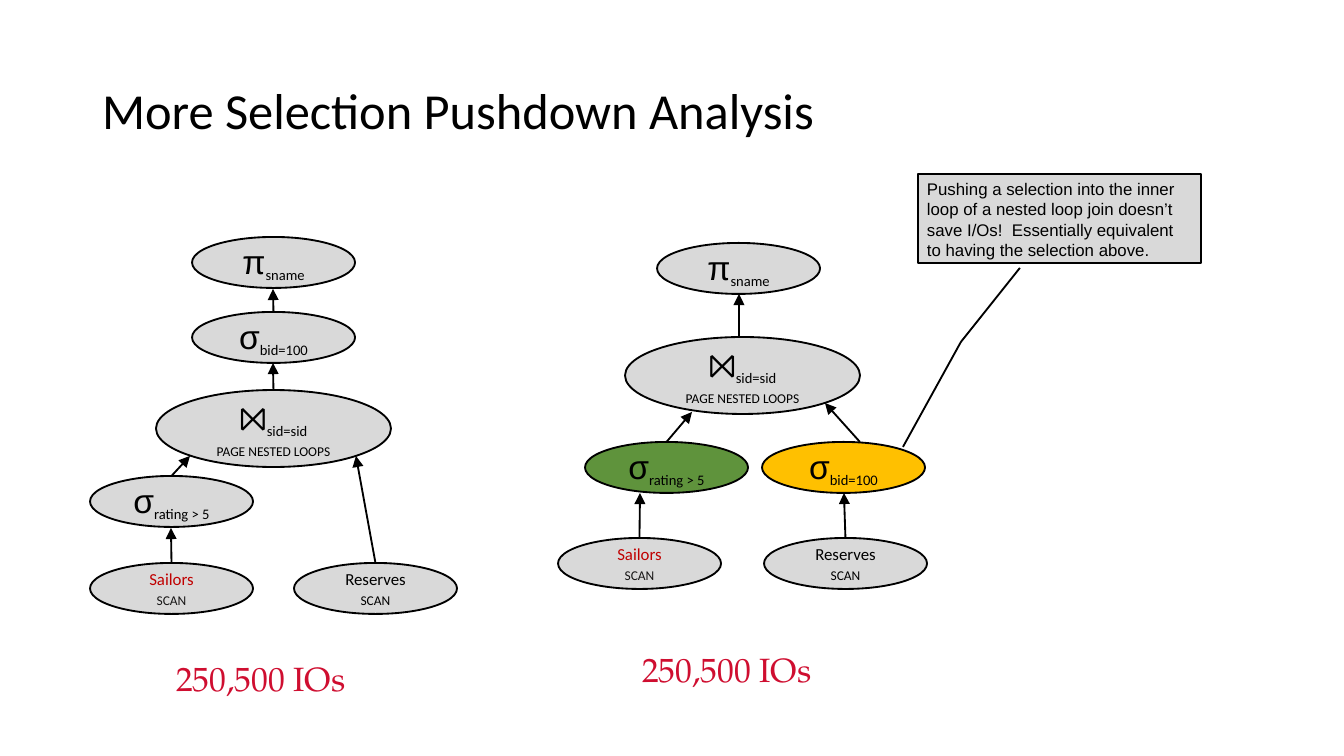
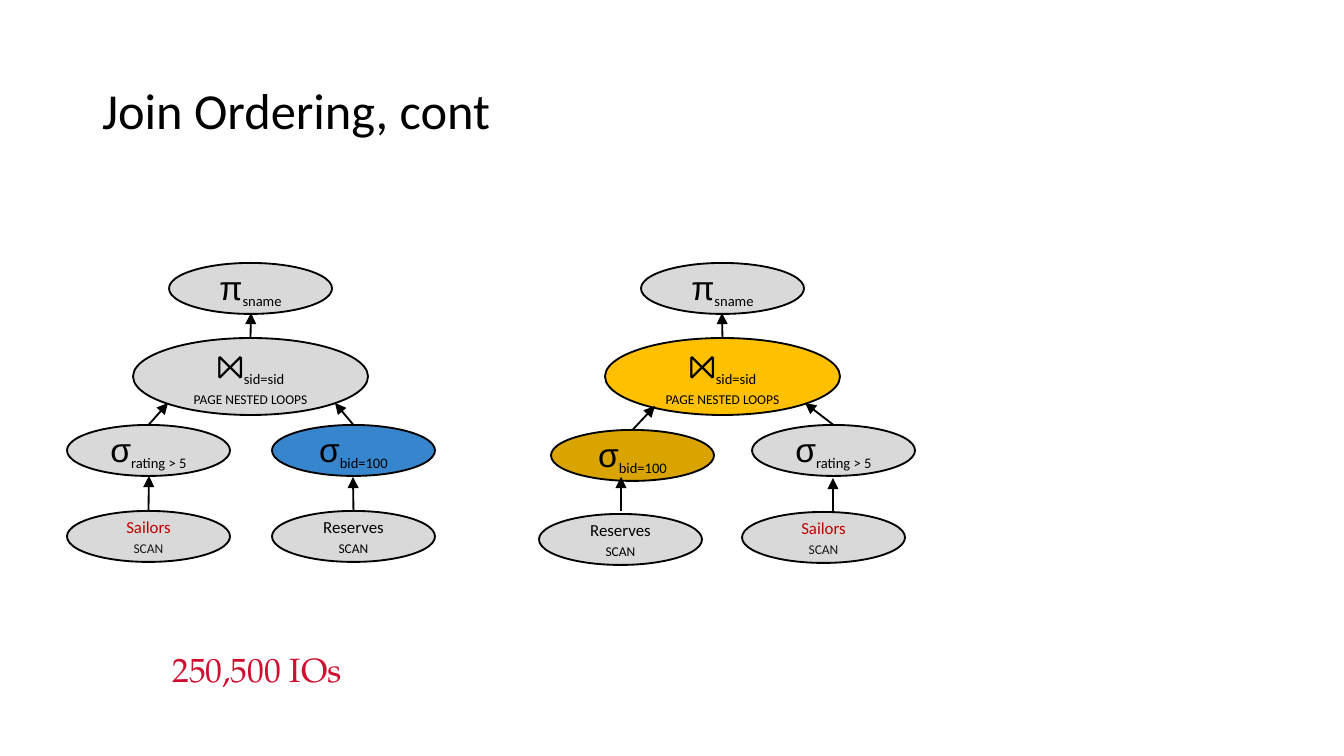
"""Build two slides comparing query plan trees and their I/O costs."""
from dataclasses import dataclass

from lxml import etree
from pptx import Presentation
from pptx.dml.color import RGBColor
from pptx.enum.shapes import MSO_CONNECTOR, MSO_SHAPE
from pptx.enum.text import MSO_ANCHOR, PP_ALIGN
from pptx.oxml.ns import qn
from pptx.util import Emu, Pt

OVAL, CALLOUT = MSO_SHAPE.OVAL, MSO_SHAPE.LINE_CALLOUT_2
STRAIGHT = MSO_CONNECTOR.STRAIGHT
MIDDLE, TOP = MSO_ANCHOR.MIDDLE, MSO_ANCHOR.TOP
LEFT, CENTER = PP_ALIGN.LEFT, PP_ALIGN.CENTER
TITLE_ONLY = 5


@dataclass(frozen=True)
class Theme:
    """Colours, fonts and type sizes."""
    black: str = "000000"
    gray: str = "D9D9D9"
    green: str = "5F933C"
    gold: str = "FFC000"
    dark_gold: str = "D9A300"
    blue: str = "3785CC"
    red: str = "C00000"
    scan: str = "181717"
    cost: str = "CF0E30"
    body: str = "Calibri"
    symbol: str = "Arial"
    serif: str = "TeX Gyre Pagella"
    title_pt: float = 27
    symbol_pt: float = 18
    sub_pt: float = 13.5
    small_pt: float = 9


T = Theme()
SLIDE_SIZE = (1344, 756)
TITLE_BOX = (93, 40, 1158, 147)
NODE_SIZE, JOIN_SIZE, COST_SIZE = (163, 51), (235, 77), (210, 51)
COST = "250,500 IOs"

OPERATORS = {
    "project": ("π", "sname", ""),
    "bid": ("σ", "bid=100", ""),
    "rating": ("σ", "rating > 5", ""),
    "join": ("⨝", "sid=sid", "page nested loops"),
}
TABLES = {"sailors": ("Sailors", T.red, T.scan), "reserves": ("Reserves", T.black, T.black)}

SLIDES = [
    {
        "title": "More Selection Pushdown Analysis",
        "costs": [(156, 653), (622, 644)],
        "callout": {
            "box": (918, 174, 283, 89),
            "text": "Pushing a selection into the inner loop of a nested loop join doesn’t "
                    "save I/Os!  Essentially equivalent to having the selection above.",
            "leader": [(1020, 268), (961, 342), (903, 447)],
        },
        "trees": [
            {
                "nodes": {"rating": (90, 476), "project": (192, 237), "bid": (192, 312),
                          "join": (156, 390), "sailors": (90, 563), "reserves": (294, 563)},
                "fills": {},
                "arrows": {"sailors": (171, 528), "reserves": (356, 456), "rating": (190, 456),
                           "join": (273, 363), "bid": (273, 289)},
                "starts": {},
            },
            {
                "nodes": {"project": (657, 243), "bid": (762, 442), "rating": (585, 442),
                          "join": (625, 337), "sailors": (558, 538), "reserves": (764, 538)},
                "fills": {"bid": T.gold, "rating": T.green},
                "arrows": {"sailors": (640, 493), "reserves": (844, 493), "rating": (692, 412),
                           "bid": (825, 403), "join": (739, 294)},
                "starts": {"bid": (860, 442), "join": (739, 337)},
            },
        ],
    },
    {
        "title": "Join Ordering, cont",
        "costs": [(152, 644)],
        "callout": None,
        "trees": [
            {
                "nodes": {"project": (641, 263), "bid": (551, 430), "rating": (752, 425),
                          "join": (605, 338), "sailors": (742, 512), "reserves": (539, 514)},
                "fills": {"bid": T.dark_gold, "join": T.gold},
                "arrows": {"rating": (805, 403), "bid": (655, 406), "join": (722, 313),
                           "sailors": (833, 478), "reserves": (621, 477)},
                "starts": {"sailors": (833, 513), "reserves": (621, 511)},
            },
            {
                "nodes": {"project": (169, 263), "bid": (272, 425), "rating": (67, 425),
                          "join": (133, 338), "sailors": (67, 511), "reserves": (272, 511)},
                "fills": {"bid": T.blue},
                "arrows": {"sailors": (149, 476), "reserves": (353, 477), "rating": (168, 403),
                           "bid": (335, 403), "join": (251, 313)},
                "starts": {},
            },
        ],
    },
]


def px(*lengths):
    """Turn pixel lengths into EMU."""
    return [Emu(round(n * 914400 / 134.4)) for n in lengths]


def style(font, name, size, color):
    """Set the face, size and colour of a font."""
    font.name, font.size = name, Pt(size)
    font.color.rgb = RGBColor.from_string(color)


def set_frame(tf, anchor):
    """Set the anchor and the tight insets of a wrapped text frame."""
    tf.word_wrap, tf.vertical_anchor = True, anchor
    tf.margin_left, tf.margin_top, tf.margin_right, tf.margin_bottom = px(9, 5, 9, 5)


def add_run(p, text, name, size, color=T.black, **attributes):
    """Append a run, with extra character attributes such as baseline or cap."""
    r = p.add_run()
    r.text = text
    style(r.font, name, size, color)
    for key, value in attributes.items():
        r.font._element.set(key, value)


def add_box(s, kind, box, fill, anchor):
    """Add a filled, outlined shape and return it."""
    sp = s.shapes.add_shape(kind, *px(*box))
    sp.shadow.inherit = False
    sp.fill.solid()
    sp.fill.fore_color.rgb = RGBColor.from_string(fill)
    sp.line.color.rgb = RGBColor.from_string(T.black)
    sp.line.width = Pt(1)
    set_frame(sp.text_frame, anchor)
    return sp


def add_node(s, name, pos, fill):
    """Add one operator or table scan of a plan tree."""
    size = JOIN_SIZE if name == "join" else NODE_SIZE
    sp = add_box(s, OVAL, pos + size, fill, MIDDLE)
    tf = sp.text_frame
    p = tf.paragraphs[0]
    p.alignment = CENTER
    if name in OPERATORS:
        symbol, subscript, method = OPERATORS[name]
        add_run(p, symbol, T.symbol, T.symbol_pt)
        add_run(p, subscript, T.body, T.sub_pt, baseline="-25000")
        if method:
            p.add_line_break()
            add_run(p, method, T.body, T.small_pt, cap="small")
    else:
        label, color, scan_color = TABLES[name]
        add_run(p, label, T.body, T.small_pt, color)
        p = tf.add_paragraph()
        p.alignment = CENTER
        add_run(p, "scan", T.body, T.small_pt, scan_color, cap="small")
    return sp


def add_arrow(s, child, start, end):
    """Draw an arrow from a given start, or from the top of the child, to its parent."""
    c = s.shapes.add_connector(STRAIGHT, *px(*(start or end), *end))
    if not start:
        c.begin_connect(child, 0)
    c.line.color.rgb = RGBColor.from_string(T.black)
    c.line.width = Pt(1)
    etree.SubElement(c.line._get_or_add_ln(), qn("a:tailEnd"), type="triangle")
    etree.SubElement(c._element.spPr, qn("a:effectLst"))


def add_tree(s, tree):
    """Draw the nodes of a plan, then its arrows."""
    nodes = {name: add_node(s, name, pos, tree["fills"].get(name, T.gray))
             for name, pos in tree["nodes"].items()}
    for name, end in tree["arrows"].items():
        add_arrow(s, nodes[name], tree["starts"].get(name), end)


def add_callout(s, box, text, leader):
    """Add the note with its bent leader line."""
    x, y, w, h = box
    sp = add_box(s, CALLOUT, box, T.gray, TOP)
    for i, (lx, ly) in enumerate(leader):
        sp.adjustments[2 * i] = (ly - y) / h
        sp.adjustments[2 * i + 1] = (lx - x) / w
    p = sp.text_frame.paragraphs[0]
    p.text, p.alignment = text, LEFT
    style(p.font, T.symbol, T.small_pt, T.black)


def add_cost(s, pos):
    """Add the I/O count below a tree."""
    tf = s.shapes.add_textbox(*px(*pos, *COST_SIZE)).text_frame
    tf.word_wrap, tf.vertical_anchor = False, MIDDLE
    p = tf.paragraphs[0]
    p.text, p.alignment = COST, CENTER
    style(p.font, T.serif, T.symbol_pt, T.cost)


def set_title(s, text):
    """Place and format the title placeholder."""
    sp = s.shapes.title
    sp.left, sp.top, sp.width, sp.height = px(*TITLE_BOX)
    set_frame(sp.text_frame, MIDDLE)
    p = sp.text_frame.paragraphs[0]
    p.text, p.alignment, p.line_spacing = text, LEFT, 0.9
    style(p.font, T.body, T.title_pt, T.black)


def main():
    """Build and save the deck."""
    prs = Presentation()
    prs.slide_width, prs.slide_height = px(*SLIDE_SIZE)
    for content in SLIDES:
        s = prs.slides.add_slide(prs.slide_layouts[TITLE_ONLY])
        set_title(s, content["title"])
        if content["callout"]:
            add_callout(s, **content["callout"])
        for pos in content["costs"]:
            add_cost(s, pos)
        for tree in content["trees"]:
            add_tree(s, tree)
    prs.save("out.pptx")


if __name__ == "__main__":
    main()
